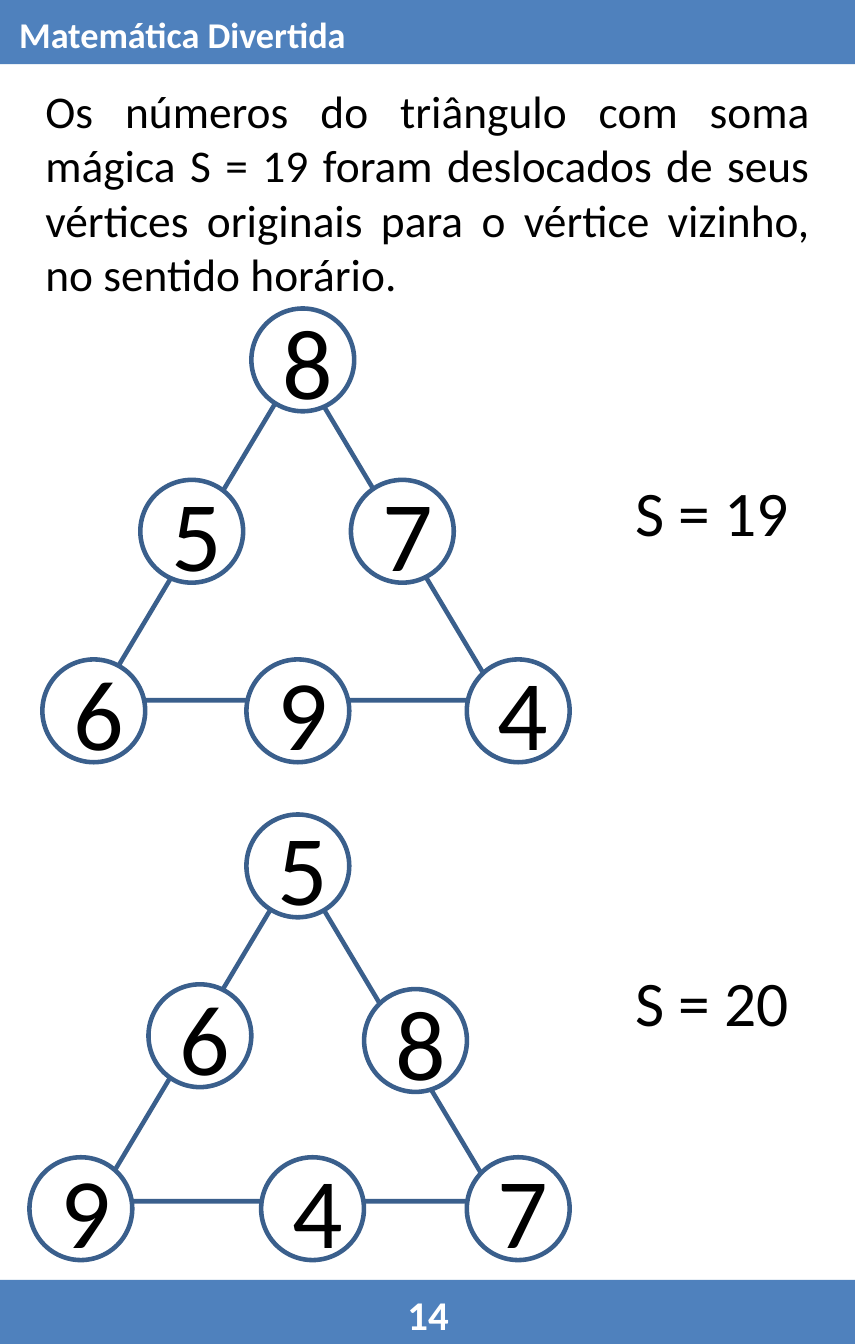
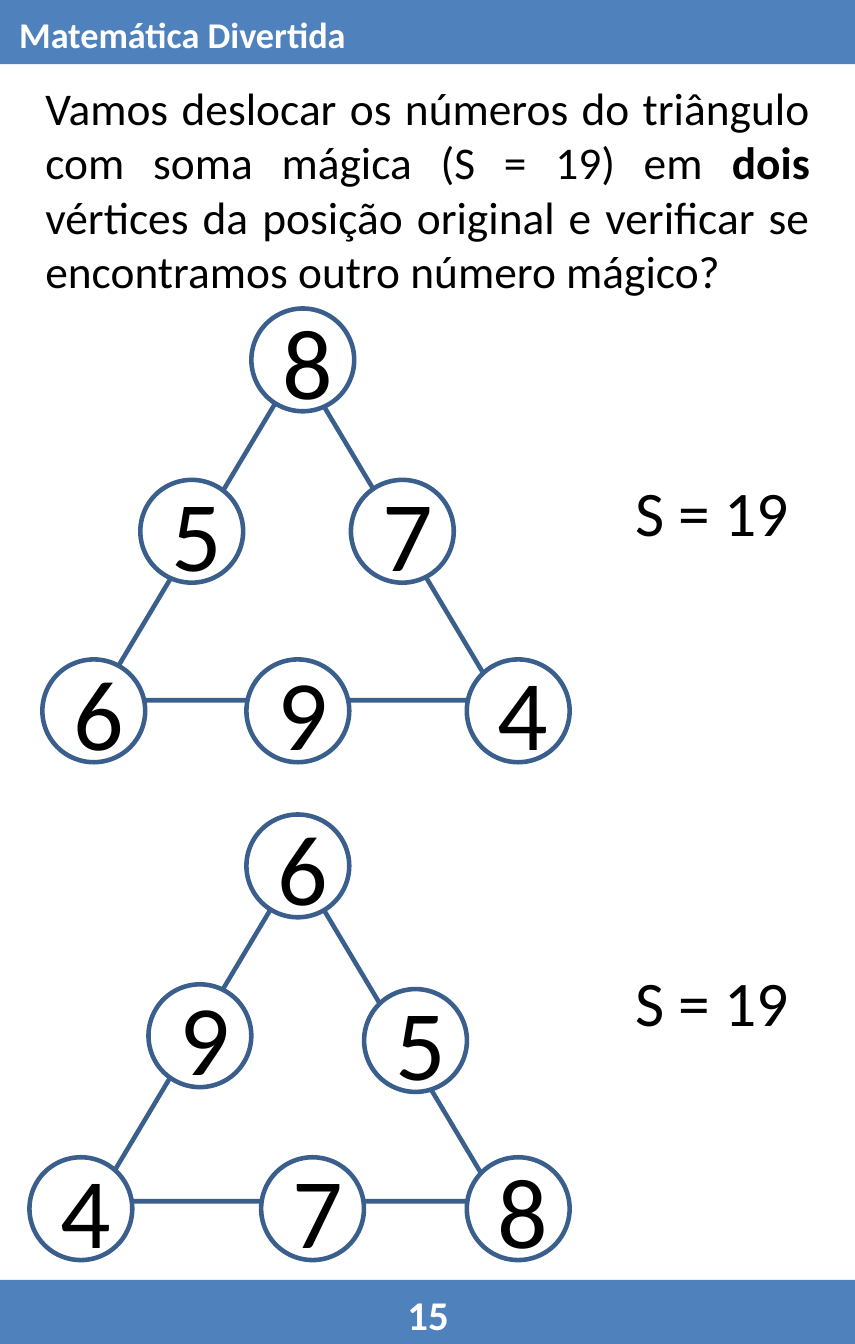
from pptx import Presentation
from pptx.dml.color import RGBColor
from pptx.enum.shapes import MSO_SHAPE as SHAPE
from pptx.enum.text import MSO_ANCHOR as ANCHOR, MSO_AUTO_SIZE as AUTO, PP_ALIGN as ALIGN
from pptx.util import Pt

WIDTH, HEIGHT, BAND = 377.1, 592.85, 28.3
FONT = "Calibri"
BLUE, OUTLINE, WHITE, BLACK = "4F81BD", "3A5F8C", "FFFFFF", "000000"
TITLE = "Matemática Divertida"
CIRCLE = 45.36
TRIANGLE = (177.1, 148.3)

RING = [8, 7, 4, 9, 6, 5]
UPPER = {
    "triangle": (43.2, 160.6),
    "circles": [(110.9, 136.1), (154.8, 211.7), (205.9, 290.9),
                (108.7, 290.9), (18.7, 290.9), (61.9, 211.7)],
    "sum_top": 205.2,
}
LOWER = {
    "triangle": (42.5, 381.6),
    "circles": [(108.7, 359.3), (160.6, 436.3), (205.9, 510.5),
                (115.2, 510.5), (13, 510.5), (65.5, 434.2)],
    "sum_top": 421.2,
}

PAGES = [
    {"number": 14, "shift": 1, "top": 33.1, "text": [
        ("Os números do triângulo com soma mágica S = 19 foram deslocados de seus "
         "vértices originais para o vértice vizinho, no sentido horário. ", False)]},
    {"number": 15, "shift": 2, "top": 31.7, "text": [
        ("Vamos deslocar os números do triângulo com soma mágica (S = 19) em ", False),
        ("dois", True),
        (" vértices da posição original e verificar se encontramos outro número mágico?",
         False)]},
]


def rgb(value):
    return RGBColor.from_string(value)


def write(tf, runs, size, color, align):
    p = tf.paragraphs[0]
    p.alignment = align
    for text, bold in runs:
        r = p.add_run()
        r.text = text
        r.font.name, r.font.size, r.font.bold = FONT, Pt(size), bold
        r.font.color.rgb = rgb(color)


def add_text(s, box, runs, size, color=BLACK, align=ALIGN.CENTER, anchor=ANCHOR.TOP):
    tf = s.shapes.add_textbox(*map(Pt, box)).text_frame
    tf.word_wrap = True
    tf.auto_size = AUTO.SHAPE_TO_FIT_TEXT
    tf.vertical_anchor = anchor
    write(tf, runs, size, color, align)


def add_shape(s, kind, box, fill=None, line=None):
    sp = s.shapes.add_shape(kind, *map(Pt, box))
    sp.shadow.inherit = False
    if fill:
        sp.fill.solid()
        sp.fill.fore_color.rgb = rgb(fill)
    else:
        sp.fill.background()
    if line:
        sp.line.color.rgb = rgb(line)
        sp.line.width = Pt(2)
    else:
        sp.line.fill.background()
    return sp


def add_frame(s, number):
    for top in (HEIGHT - BAND, 0):
        add_shape(s, SHAPE.RECTANGLE, (0, top, WIDTH, BAND), BLUE)
    add_text(s, (169, 565.4, 39.6, 28.8), [(str(number), True)], 18, WHITE)
    add_text(s, (1.4, 2, 187.2, 26.6), [(TITLE, True)], 16, WHITE, ALIGN.LEFT)


def add_magic_triangle(s, place, values):
    add_shape(s, SHAPE.ISOSCELES_TRIANGLE, place["triangle"] + TRIANGLE, line=OUTLINE)
    for corner, value in zip(place["circles"], values):
        sp = add_shape(s, SHAPE.OVAL, corner + (CIRCLE, CIRCLE), WHITE, OUTLINE)
        write(sp.text_frame, [(str(value), False)], 44, BLACK, ALIGN.CENTER)
    add_text(s, (272, place["sum_top"], 84.2, 41), [(f"S = {sum(values[:3])}", False)],
             28, anchor=ANCHOR.MIDDLE)


def main():
    prs = Presentation()
    prs.slide_width, prs.slide_height = Pt(WIDTH), Pt(HEIGHT)
    for page in PAGES:
        s = prs.slides.add_slide(prs.slide_layouts[6])
        add_frame(s, page["number"])
        add_text(s, (12.9, page["top"], 351.4, 104.4), page["text"], 20, align=ALIGN.JUSTIFY)
        shift = page["shift"]
        add_magic_triangle(s, UPPER, RING)
        add_magic_triangle(s, LOWER, RING[-shift:] + RING[:-shift])
    prs.save("out.pptx")


if __name__ == "__main__":
    main()
